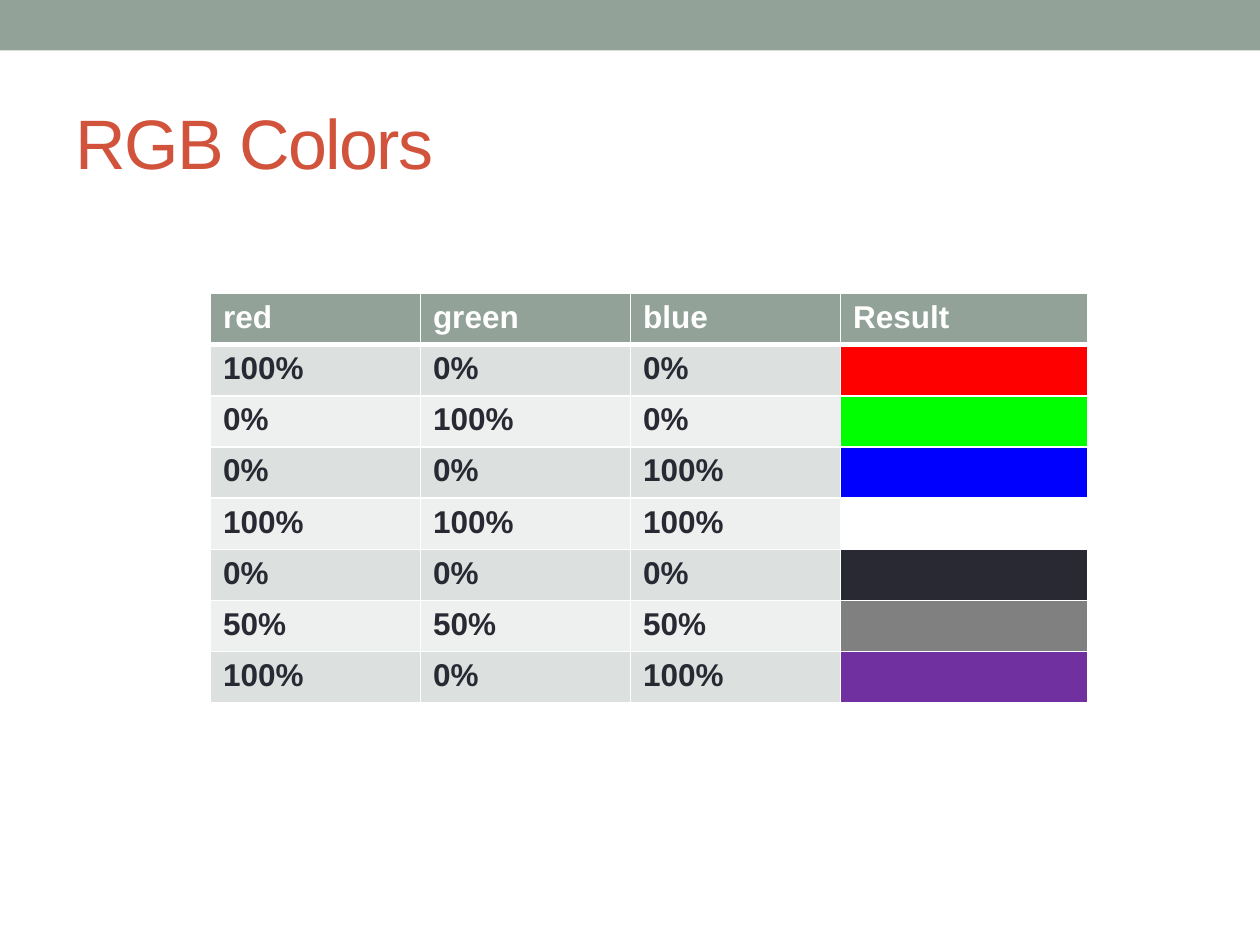
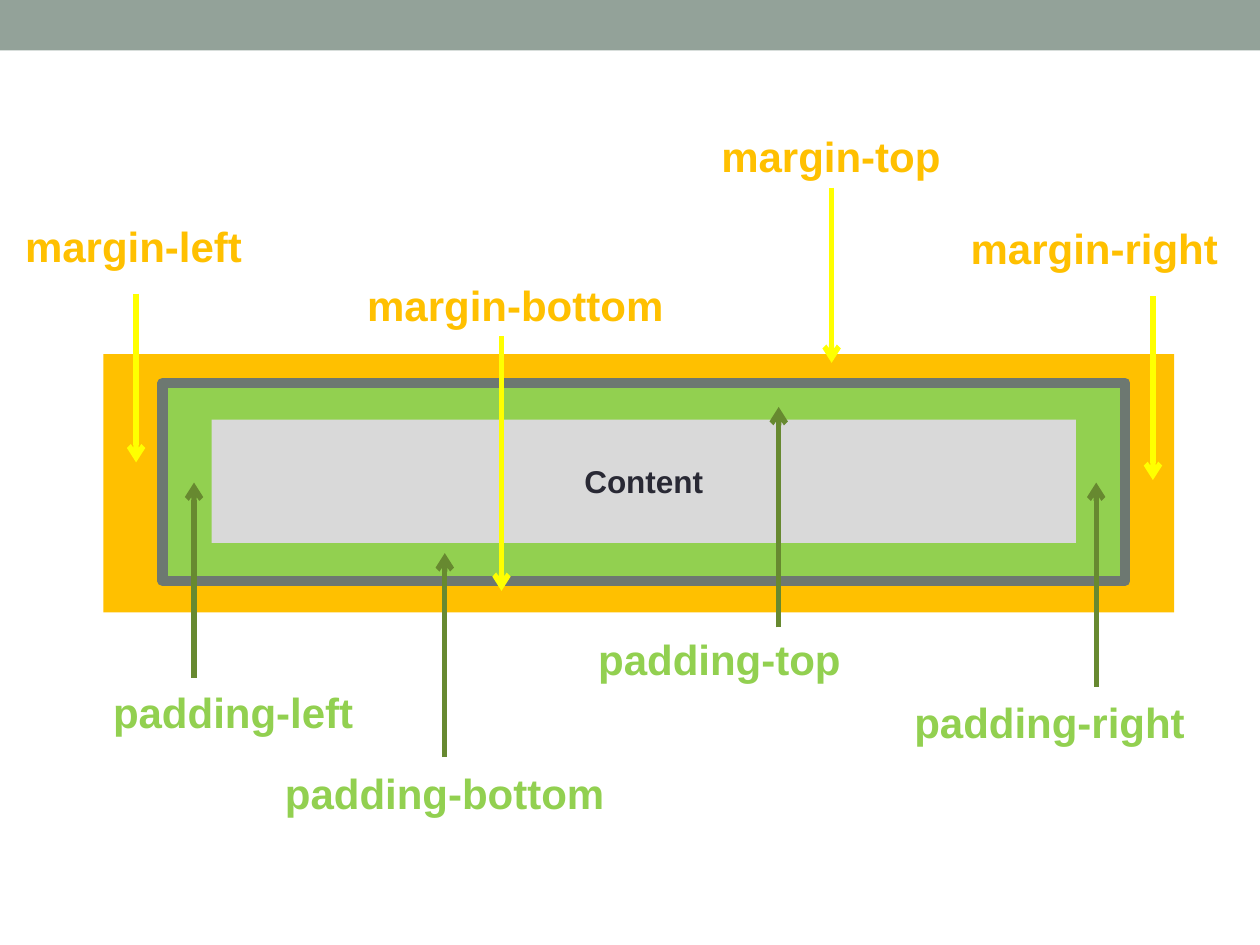
import pptx
import pptx.util
import pptx.dml.color
import pptx.enum.shapes
import pptx.enum.text
import pptx.oxml.ns
from dataclasses import dataclass
from lxml import etree

ALIGN = pptx.enum.text.PP_ALIGN
ANCHOR = pptx.enum.text.MSO_ANCHOR
SHAPE = pptx.enum.shapes.MSO_SHAPE
TITLE_ONLY, BLANK = 5, 6


@dataclass(frozen=True)
class Theme:
    face: str = "Arial"
    head: int = 40
    label: int = 24
    body: int = 18
    white: str = "FFFFFF"
    ink: str = "292934"
    sage: str = "93A299"
    rust: str = "D2533C"
    odd: str = "DCE0DE"
    even: str = "EEF0EF"
    edge: str = "6D7871"
    grey: str = "D9D9D9"
    amber: str = "FFC000"
    lime: str = "92D050"
    yellow: str = "FFFF00"
    moss: str = "678930"


def rgb(code):
    return pptx.dml.color.RGBColor.from_string(code)


def add(parent, tag, **attrs):
    """Append a DrawingML child element."""
    return etree.SubElement(parent, pptx.oxml.ns.qn("a:" + tag), attrs)


def apply(target, values):
    for name, value in values.items():
        setattr(target, name, value)


class Deck:
    """Style and current slide; lengths are in cells of a 100 by 75 grid."""

    COLS, ROWS = 100, 75

    def __init__(self, theme):
        self.theme = theme
        self.file = pptx.Presentation()
        apply(self.file, {"slide_width": pptx.util.Inches(10),
                          "slide_height": pptx.util.Inches(7.5)})
        self.slide = None

    def x(self, cols):
        return round(self.file.slide_width * cols / self.COLS)

    def y(self, rows):
        return round(self.file.slide_height * rows / self.ROWS)

    def area(self, left, top, wide, high):
        return self.x(left), self.y(top), self.x(wide), self.y(high)

    def start(self, layout):
        """Add a slide with the top band."""
        self.slide = self.file.slides.add_slide(self.file.slide_layouts[layout])
        self.box((0, 0, self.COLS, 4), self.theme.sage)

    def text(self, frame, words, size, color, bold=True, align=ALIGN.LEFT):
        frame.word_wrap = True
        para = frame.paragraphs[0]
        para.alignment = align
        run = para.add_run()
        run.text = words
        apply(run.font, {"name": self.theme.face, "bold": bold,
                         "size": pptx.util.Pt(size)})
        run.font.color.rgb = rgb(color)
        return run

    def title(self, words):
        hold = self.slide.shapes.title
        spot = self.area(5, 5.8, 90, 10.8)
        apply(hold, dict(zip(("left", "top", "width", "height"), spot)))
        hold.text_frame.vertical_anchor = ANCHOR.MIDDLE
        run = self.text(hold.text_frame, words, self.theme.head,
                        self.theme.rust, bold=False)
        run.font._element.set("spc", "-100")

    def box(self, area, fill, edge=None, width=0, words=None):
        shape = self.slide.shapes.add_shape(SHAPE.RECTANGLE, *self.area(*area))
        shape.shadow.inherit = False
        shape.fill.solid()
        shape.fill.fore_color.rgb = rgb(fill)
        if edge:
            shape.line.color.rgb = rgb(edge)
            shape.line.width = pptx.util.Pt(width)
        else:
            shape.line.fill.background()
        if words:
            shape.text_frame.vertical_anchor = ANCHOR.MIDDLE
            self.text(shape.text_frame, words, self.theme.body,
                      self.theme.ink, align=ALIGN.CENTER)

    def label(self, words, left, top, wide, color):
        box = self.slide.shapes.add_textbox(*self.area(left, top, wide, 5))
        self.text(box.text_frame, words, self.theme.label, color,
                  align=ALIGN.CENTER)

    def arrow(self, col, start, end, color):
        """Draw an upright arrow from row start to row end."""
        line = self.slide.shapes.add_connector(
            pptx.enum.shapes.MSO_CONNECTOR.STRAIGHT,
            self.x(col), self.y(start), self.x(col), self.y(end))
        line.line.color.rgb = rgb(color)
        line.line.width = pptx.util.Pt(3)
        props = line._element.spPr
        add(props.find(pptx.oxml.ns.qn("a:ln")), "tailEnd", type="arrow")
        add(props, "effectLst")

    def cell(self, cell, words, fill, color, top, low):
        props = cell._tc.get_or_add_tcPr()
        for side, width in (("L", 1), ("R", 1), ("T", top), ("B", low)):
            rule = add(props, "ln" + side, w=str(int(pptx.util.Pt(width))))
            add(add(rule, "solidFill"), "srgbClr", val=self.theme.white)
        cell.fill.solid()
        cell.fill.fore_color.rgb = rgb(fill)
        if words:
            self.text(cell.text_frame, words, self.theme.body, color)

    def table(self, left, top, widths, high, heads, rows):
        """Draw a table whose last column shows each row's colour."""
        theme = self.theme
        count = len(rows) + 1
        spot = self.area(left, top, sum(widths), high * count)
        grid = self.slide.shapes.add_table(count, len(heads), *spot).table
        for col, wide in zip(grid.columns, widths):
            col.width = self.x(wide)
        for row in grid.rows:
            row.height = self.y(high)
        for col, words in enumerate(heads):
            self.cell(grid.cell(0, col), words, theme.sage, theme.white, 1, 3)
        for num, (parts, result) in enumerate(rows, 1):
            tint = theme.odd if num % 2 else theme.even
            rule = 3 if num == 1 else 1
            for col, part in enumerate(parts):
                self.cell(grid.cell(num, col), f"{part}%", tint, theme.ink, rule, 1)
            self.cell(grid.cell(num, len(parts)), "", result, theme.ink, rule, 1)


def colors(deck):
    deck.start(TITLE_ONLY)
    deck.title("RGB Colors")
    mixes = [
        ((100, 0, 0), "FF0000"),
        ((0, 100, 0), "00FF00"),
        ((0, 0, 100), "0000FF"),
        ((100, 100, 100), deck.theme.white),
        ((0, 0, 0), deck.theme.ink),
        ((50, 50, 50), "808080"),
        ((100, 0, 100), "7030A0"),
    ]
    deck.table(16.7, 23.3, [16.67] * 3 + [19.6], 4.06,
               ["red", "green", "blue", "Result"], mixes)


def model(deck):
    """Draw the box model with its margins and paddings."""
    theme = deck.theme
    deck.start(BLANK)
    deck.box((8.2, 28.1, 85, 20.5), theme.amber)
    deck.box((12.9, 30.4, 76.4, 15.7), theme.lime, theme.edge, 6)
    deck.box((16.8, 33.3, 68.6, 9.8), theme.grey, words="Content")
    tones = {"margin": (theme.amber, theme.yellow),
             "padding": (theme.lime, theme.moss)}
    # kind, side, label left, top and width, arrow column, start and end
    parts = [
        ("margin", "left", 0.7, 17, 19.8, 10.8, 23.3, 36.7),
        ("padding", "right", 69.7, 54.8, 27.2, 87, 54.5, 38.3),
        ("margin", "right", 75.6, 17.2, 22.5, 91.5, 23.5, 38.1),
        ("padding", "left", 4.9, 54, 27.2, 15.4, 53.8, 38.3),
        ("padding", "bottom", 19.1, 60.4, 32.4, 35.3, 60.1, 43.9),
        ("padding", "top", 40.9, 49.8, 32.4, 61.8, 49.8, 32.3),
        ("margin", "top", 54.7, 9.9, 22.5, 66, 14.9, 28.8),
        ("margin", "bottom", 27.5, 21.7, 26.8, 39.8, 26.7, 46.9),
    ]
    for kind, side, left, top, wide, col, start, end in parts:
        tone, line = tones[kind]
        deck.arrow(col, start, end, line)
        deck.label(f"{kind}-{side}", left, top, wide, tone)


def main():
    deck = Deck(Theme())
    colors(deck)
    model(deck)
    deck.file.save("out.pptx")


if __name__ == "__main__":
    main()
